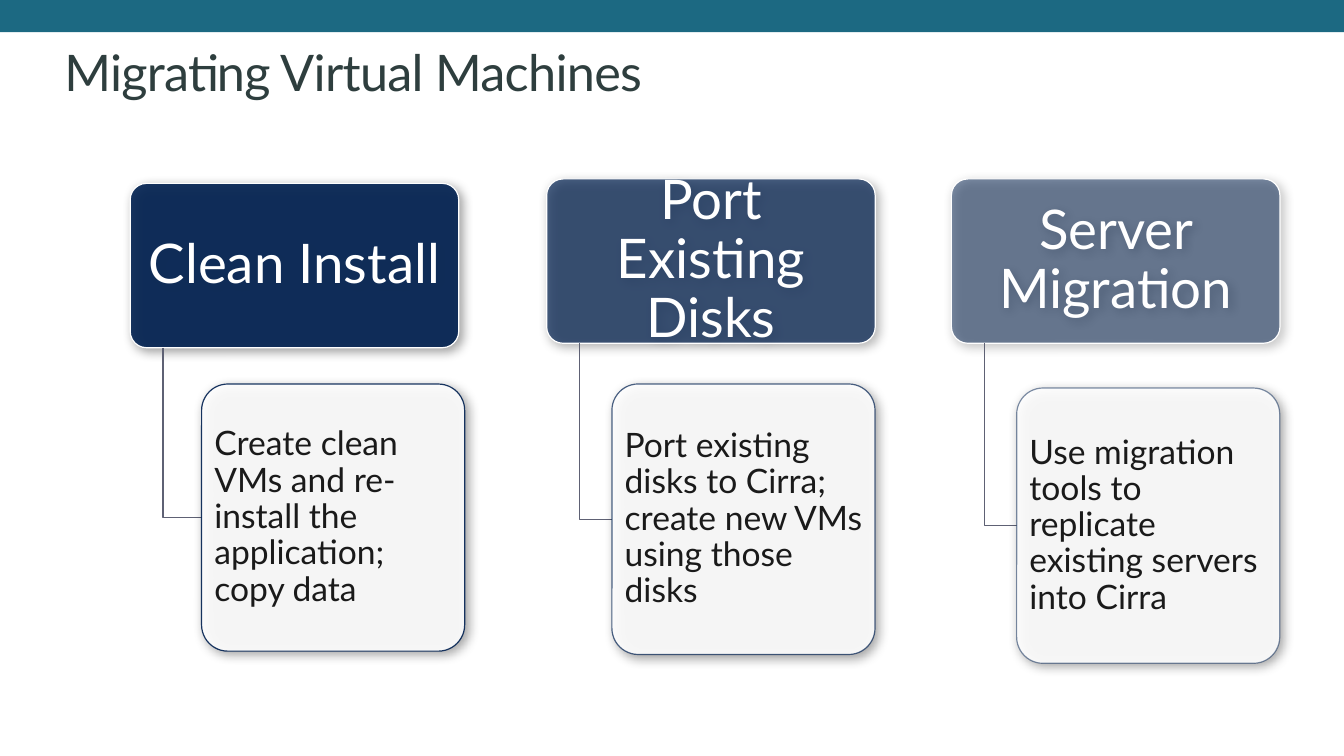
"""Build a slide comparing three ways of migrating virtual machines."""
import dataclasses

import lxml.etree
import pptx
import pptx.dml.color
import pptx.dml.fill
import pptx.enum.shapes
import pptx.enum.text
import pptx.oxml.ns
import pptx.shapes.autoshape
import pptx.slide
import pptx.text.text
import pptx.util

Pt = pptx.util.Pt
RGB = pptx.dml.color.RGBColor
qn = pptx.oxml.ns.qn
Align = pptx.enum.text.PP_ALIGN
Anchor = pptx.enum.text.MSO_ANCHOR
Preset = pptx.enum.shapes.MSO_SHAPE


@dataclasses.dataclass(frozen=True)
class Theme:
    font: str = "Lato"
    bar: RGB = RGB(0x1C, 0x69, 0x82)
    title: RGB = RGB(0x2E, 0x3E, 0x3E)
    navy: RGB = RGB(0x00, 0x20, 0x50)
    white: RGB = RGB(0xFF, 0xFF, 0xFF)
    text: RGB = RGB(0x1A, 0x1A, 0x1A)
    branch: RGB = RGB(0x5E, 0x61, 0x74)
    title_size: float = 36
    header_size: float = 39
    card_size: float = 24
    line_width: float = 0.85


@dataclasses.dataclass(frozen=True)
class Box:
    left: float
    top: float
    width: float
    height: float


@dataclasses.dataclass(frozen=True)
class Panel:
    """Colours, opacities and text settings of a rounded box."""
    fill: RGB
    fill_opacity: int
    line: RGB
    line_opacity: int
    text: RGB
    size: float
    align: Align
    inset_x: float
    inset_y: float


@dataclasses.dataclass(frozen=True)
class Option:
    """One migration option: a header and the card hanging from it."""
    heading: str
    description: str
    opacity: int
    header: Box
    card: Box


THEME = Theme()
HEADER_SIZE = (234.7, 117.4)
CARD_WIDTH = 187.9

OPTIONS = [
    Option("Clean Install",
           "Create clean VMs and re-install the application; copy data",
           90, Box(93, 131, *HEADER_SIZE), Box(144, 274.3, CARD_WIDTH, 190.8)),
    Option("Port Existing Disks",
           "Port existing disks to Cirra; create new VMs using those disks",
           70, Box(390.5, 127.8, *HEADER_SIZE), Box(437.1, 274.3, CARD_WIDTH, 193.2)),
    Option("Server Migration",
           "Use migration tools to replicate existing servers into Cirra",
           50, Box(679.6, 127.8, *HEADER_SIZE), Box(726.2, 277.2, CARD_WIDTH, 196.6)),
]


def add_text(paragraph: pptx.text.text._Paragraph, text: str, size: float,
             color: RGB) -> pptx.text.text._Run:
    """Append a formatted run to a paragraph."""
    run = paragraph.add_run()
    run.text = text
    run.font.name = THEME.font
    run.font.size = Pt(size)
    run.font.color.rgb = color
    return run


def set_opacity(parent: lxml.etree._Element, percent: int) -> None:
    """Make the solid fill of a shape or line partly transparent."""
    color = parent.find(qn("a:solidFill")).find(qn("a:srgbClr"))
    lxml.etree.SubElement(color, qn("a:alpha"), val=str(percent * 1000))


def add_shadow(shape: pptx.shapes.autoshape.Shape) -> None:
    """Give a shape a soft shadow towards the lower right."""
    shape.shadow.inherit = False
    effects = shape.element.spPr.find(qn("a:effectLst"))
    shadow = lxml.etree.SubElement(
        effects, qn("a:outerShdw"), blurRad=str(Pt(8)), dist=str(Pt(3)),
        dir=str(45 * 60000), algn="tl", rotWithShape="0")
    color = lxml.etree.SubElement(shadow, qn("a:srgbClr"), val="000000")
    lxml.etree.SubElement(color, qn("a:alpha"), val="40000")


def add_shape(slide: pptx.slide.Slide, preset: Preset, box: Box,
              fill: RGB) -> pptx.shapes.autoshape.Shape:
    """Draw a filled preset shape without outline or shadow."""
    shape = slide.shapes.add_shape(
        preset, Pt(box.left), Pt(box.top), Pt(box.width), Pt(box.height))
    shape.shadow.inherit = False
    shape.fill.solid()
    shape.fill.fore_color.rgb = fill
    shape.line.fill.background()
    return shape


def add_panel(slide: pptx.slide.Slide, box: Box, text: str, panel: Panel) -> None:
    """Draw a rounded box with its text."""
    shape = add_shape(slide, Preset.ROUNDED_RECTANGLE, box, panel.fill)
    shape.adjustments[0] = 0.1
    shape.line.color.rgb = panel.line
    shape.line.width = Pt(THEME.line_width)
    properties = shape.element.spPr
    set_opacity(properties, panel.fill_opacity)
    set_opacity(properties.find(qn("a:ln")), panel.line_opacity)
    add_shadow(shape)
    frame = shape.text_frame
    frame.word_wrap = True
    frame.vertical_anchor = Anchor.MIDDLE
    frame.margin_left = frame.margin_right = Pt(panel.inset_x)
    frame.margin_top = frame.margin_bottom = Pt(panel.inset_y)
    paragraph = frame.paragraphs[0]
    paragraph.alignment = panel.align
    paragraph.line_spacing = 0.9
    add_text(paragraph, text, panel.size, panel.text)


def add_branch(slide: pptx.slide.Slide, header: Box, card: Box) -> None:
    """Draw the bent line from a header down to the side of its card."""
    x = Pt(header.left + header.width / 10)
    middle = Pt(card.top + card.height / 2)
    start = Pt(header.top + header.height)
    builder = slide.shapes.build_freeform(x, start)
    builder.add_line_segments([(x, middle), (Pt(card.left), middle)], close=False)
    branch = builder.convert_to_shape()
    branch.shadow.inherit = False
    branch.fill.background()
    branch.line.color.rgb = THEME.branch
    branch.line.width = Pt(THEME.line_width)


def add_option(slide: pptx.slide.Slide, option: Option) -> None:
    """Draw a header, its branch and its card."""
    add_panel(slide, option.header, option.heading, Panel(
        THEME.navy, option.opacity, THEME.white, 100, THEME.white,
        THEME.header_size, Align.CENTER, 5.8, 3.9))
    add_branch(slide, option.header, option.card)
    add_panel(slide, option.card, option.description, Panel(
        THEME.white, 90, THEME.navy, option.opacity, THEME.text,
        THEME.card_size, Align.LEFT, 3.6, 2.4))


def add_title(slide: pptx.slide.Slide, text: str) -> None:
    """Place and format the title."""
    title = slide.shapes.title
    title.left, title.top, title.width, title.height = map(Pt, (46, 29.5, 754.6, 44))
    frame = title.text_frame
    frame.word_wrap = True
    frame.auto_size = pptx.enum.text.MSO_AUTO_SIZE.NONE
    frame.vertical_anchor = Anchor.TOP
    frame.margin_left = frame.margin_right = frame.margin_top = frame.margin_bottom = 0
    paragraph = frame.paragraphs[0]
    paragraph.alignment = Align.LEFT
    run = add_text(paragraph, text, THEME.title_size, THEME.title)
    run.font._element.set("spc", "-50")


def main() -> None:
    """Build and save the presentation."""
    presentation = pptx.Presentation()
    presentation.slide_width, presentation.slide_height = Pt(960), Pt(540)
    slide = presentation.slides.add_slide(presentation.slide_layouts[5])
    add_shape(slide, Preset.RECTANGLE, Box(0, 0, 960, 23), THEME.bar)
    add_title(slide, "Migrating Virtual Machines")
    for option in OPTIONS:
        add_option(slide, option)
    presentation.save("out.pptx")


if __name__ == "__main__":
    main()
